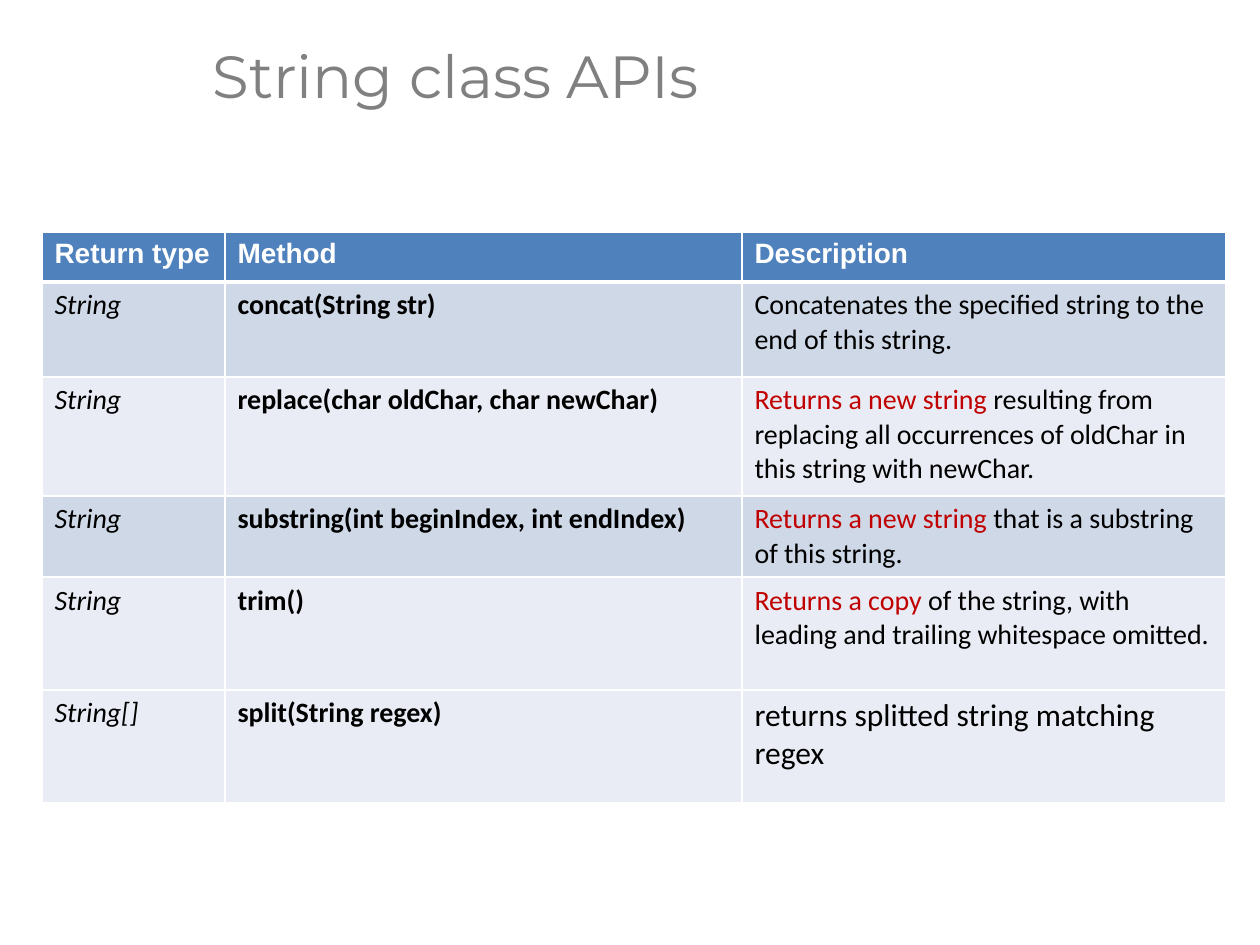
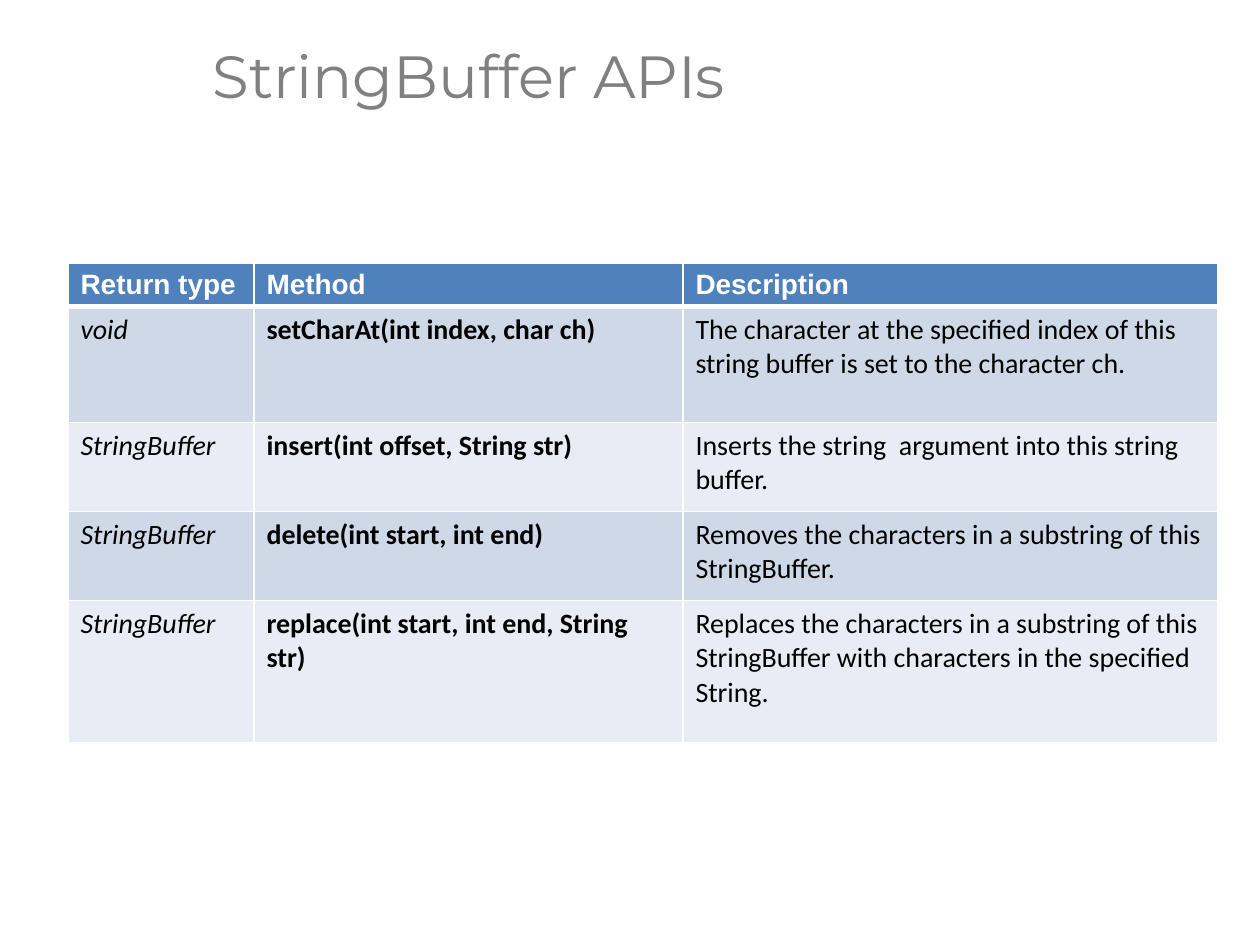
"""Build two slides that list string class methods in banded tables."""
from lxml import etree
from pptx import Presentation
from pptx.dml.color import RGBColor
from pptx.enum.text import MSO_ANCHOR, MSO_AUTO_SIZE, PP_ALIGN
from pptx.oxml.ns import qn
from pptx.util import Pt

LEFT, MIDDLE, NO_FIT = PP_ALIGN.LEFT, MSO_ANCHOR.MIDDLE, MSO_AUTO_SIZE.NONE
SCALE = 914400 / 126
TITLE_ONLY = 5
TITLE_BOX = (200, 1, 1060, 156)

THEME = {
    "dark": "CFD8E7",
    "light": "E9ECF4",
    "header_fill": "4F81BD",
    "border": "FFFFFF",
    "thin": 1,
    "thick": 3,
    "title": {"name": "Montserrat", "size": 34, "color": "808080"},
    "header": {"name": "Arial", "size": 16, "color": "FFFFFF", "bold": True},
    "body": {"name": "Calibri", "size": 16, "color": "000000", "bold": False},
}
BODY = THEME["body"]
TYPE = BODY | {"italic": True}
METHOD = BODY | {"bold": True}
ALERT = BODY | {"color": "C00000"}
LARGE = BODY | {"size": 18}

HEADINGS = ("Return type", "Method", "Description")
SLIDES = [
    {
        "title": "String class APIs",
        "corner": (42, 232),
        "columns": (183, 517, 484),
        "header_height": 50,
        "rows": [
            (95, "dark", "String", "concat(String\u00a0str)",
             [("Concatenates the specified string to the end of this string.", BODY)]),
            (119, "light", "String", "replace(char\u00a0oldChar, char\u00a0newChar)",
             [("Returns a new string ", ALERT),
              ("resulting from replacing all occurrences of oldChar in this string with newChar.", BODY)]),
            (81, "dark", "String", "substring(int\u00a0beginIndex, int\u00a0endIndex)",
             [("Returns a new string ", ALERT), ("that is a substring of this string.", BODY)]),
            (113, "light", "String", "trim()",
             [("Returns a copy", ALERT),
              (" of the string, with leading and trailing whitespace omitted.", BODY)]),
            (113, "light", "String[]", "split(String regex)",
             [("returns splitted string matching regex", LARGE)]),
        ],
    },
    {
        "title": "StringBuffer APIs",
        "corner": (68, 263),
        "columns": (186, 429, 535),
        "header_height": 43,
        "rows": [
            (116, "dark", "void", "setCharAt(int index, char ch)",
             [("The character at the specified index of this string buffer is set to the character ch.", BODY)]),
            (89, "light", "StringBuffer", "insert(int\u00a0offset, String str)",
             [("Inserts the string  argument into this string buffer.", BODY)]),
            (89, "dark", "StringBuffer", "delete(int\u00a0start, int\u00a0end)",
             [("Removes the characters in a substring of this StringBuffer.", BODY)]),
            (142, "light", "StringBuffer", "replace(int\u00a0start, int\u00a0end, String str)",
             [("Replaces the characters in a substring of this StringBuffer "
               "with characters in the specified String.", BODY)]),
        ],
    },
]


def emu(pixels):
    """Turn pixels into EMU."""
    return round(pixels * SCALE)


def write_runs(paragraph, runs):
    """Add formatted runs to a paragraph."""
    for text, style in runs:
        run = paragraph.add_run()
        run.text = text
        for name, value in style.items():
            if name == "color":
                run.font.color.rgb = RGBColor.from_string(value)
            else:
                setattr(run.font, name, Pt(value) if name == "size" else value)


def add_borders(cell, top, bottom):
    """Draw the four cell borders, with thin sides."""
    properties = cell._tc.get_or_add_tcPr()
    widths = {"lnL": THEME["thin"], "lnR": THEME["thin"], "lnT": top, "lnB": bottom}
    for tag, width in widths.items():
        line = etree.SubElement(properties, qn(f"a:{tag}"), w=str(Pt(width)))
        fill = etree.SubElement(line, qn("a:solidFill"))
        etree.SubElement(fill, qn("a:srgbClr"), val=THEME["border"])


def add_title(slide, text):
    """Place and format the slide title."""
    title = slide.shapes.title
    for name, pixels in zip(("left", "top", "width", "height"), TITLE_BOX):
        setattr(title, name, emu(pixels))
    frame = title.text_frame
    for name, value in {"vertical_anchor": MIDDLE, "auto_size": NO_FIT, "word_wrap": True}.items():
        setattr(frame, name, value)
    paragraph = frame.paragraphs[0]
    paragraph.alignment, paragraph.line_spacing = LEFT, 0.9
    write_runs(paragraph, [(text, THEME["title"])])


def add_method_table(slide, content):
    """Add the table of methods below the title."""
    header = [[(heading, THEME["header"])] for heading in HEADINGS]
    rows = [(content["header_height"], "header_fill", header)]
    for height, band, return_type, method, description in content["rows"]:
        rows.append((height, band, [[(return_type, TYPE)], [(method, METHOD)], description]))
    size = (sum(content["columns"]), sum(row[0] for row in rows))
    box = [emu(pixels) for pixels in content["corner"] + size]
    table = slide.shapes.add_table(len(rows), len(HEADINGS), *box).table
    for column, width in zip(table.columns, content["columns"]):
        column.width = emu(width)
    for index, (height, band, cells) in enumerate(rows):
        table.rows[index].height = emu(height)
        top = THEME["thick" if index == 1 else "thin"]
        bottom = THEME["thick" if index == 0 else "thin"]
        for cell, runs in zip(table.rows[index].cells, cells):
            add_borders(cell, top, bottom)
            cell.fill.solid()
            cell.fill.fore_color.rgb = RGBColor.from_string(THEME[band])
            write_runs(cell.text_frame.paragraphs[0], runs)


presentation = Presentation()
presentation.slide_width, presentation.slide_height = emu(1260), emu(945)
for content in SLIDES:
    slide = presentation.slides.add_slide(presentation.slide_layouts[TITLE_ONLY])
    add_title(slide, content["title"])
    add_method_table(slide, content)
presentation.save("out.pptx")
